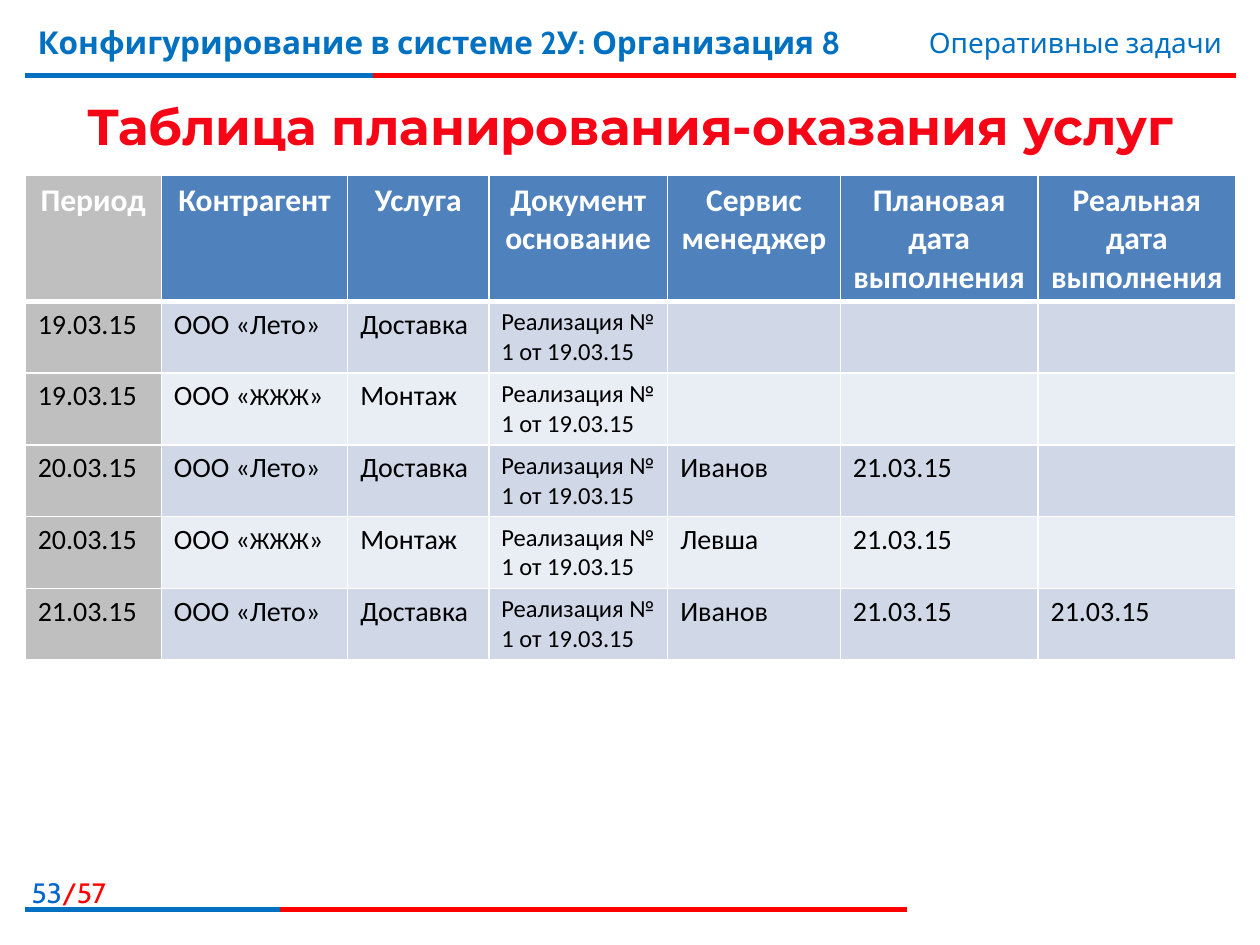
from dataclasses import dataclass

from lxml.etree import SubElement
from pptx import Presentation
from pptx.dml.color import RGBColor
from pptx.enum.shapes import MSO_CONNECTOR
from pptx.enum.text import MSO_ANCHOR, MSO_AUTO_SIZE, PP_ALIGN
from pptx.oxml.ns import qn
from pptx.util import Inches, Pt


@dataclass(frozen=True)
class Theme:
    blue: str = "0070C0"
    number_blue: str = "0066CC"
    red: str = "FF0000"
    title_red: str = "F50516"
    white: str = "FFFFFF"
    black: str = "000000"
    period_fill: str = "BFBFBF"
    header_fill: str = "4F81BD"
    bands: tuple = ("D0D8E8", "E9EDF4")
    frame_font: str = "Cabin"
    table_font: str = "Calibri"
    title_font: str = "Montserrat"
    title_size: float = 28.8
    large: int = 18
    medium: int = 16
    small: int = 14
    rule_width: int = 3
    border_width: int = 1


THEME = Theme()
LEFT, WIDTH = 0.2, 9.61
COLUMN_WIDTHS = (1.08, 1.48, 1.12, 1.42, 1.37, 1.57, 1.57)
HEADER_HEIGHT, ROW_HEIGHT = 0.98, 0.57
DOCUMENT_COLUMN = 3

HEADERS = (
    "Период", "Контрагент", "Услуга", "Документ основание",
    "Сервис менеджер", "Плановая дата выполнения", "Реальная дата выполнения",
)
DOCUMENT = "Реализация № 1 от 19.03.15"
SUMMER = ("ООО «Лето»", "Доставка", DOCUMENT)
LETTERS = (("ООО «", "ЖЖЖ", "»"), "Монтаж", DOCUMENT)
ROWS = (
    ("19.03.15", *SUMMER, "", "", ""),
    ("19.03.15", *LETTERS, "", "", ""),
    ("20.03.15", *SUMMER, "Иванов", "21.03.15", ""),
    ("20.03.15", *LETTERS, "Левша", "21.03.15", ""),
    ("21.03.15", *SUMMER, "Иванов", "21.03.15", "21.03.15"),
)


def add_run(paragraph, text, color, size, font_name, bold=False):
    run = paragraph.add_run()
    run.text = text
    values = {"name": font_name, "size": Pt(size), "bold": bold}
    for name, value in values.items():
        setattr(run.font, name, value)
    run.font.color.rgb = RGBColor.from_string(color)


def add_text(slide, box, parts, size, align=PP_ALIGN.LEFT, bold=False):
    """Add a one-line text box; parts are pairs of text and colour."""
    shape = slide.shapes.add_textbox(*map(Inches, box))
    shape.text_frame.word_wrap = True
    paragraph = shape.text_frame.paragraphs[0]
    paragraph.alignment = align
    for text, color in parts:
        add_run(paragraph, text, color, size, THEME.frame_font, bold)


def add_two_tone_rule(slide, top, blue_end, red_end):
    """Draw a red rule with a blue one over its left part."""
    for end, color in ((red_end, THEME.red), (blue_end, THEME.blue)):
        line = slide.shapes.add_connector(
            MSO_CONNECTOR.STRAIGHT,
            Inches(LEFT), Inches(top), Inches(end), Inches(top),
        )
        line.line.color.rgb = RGBColor.from_string(color)
        line.line.width = Pt(THEME.rule_width)
        SubElement(line._element.spPr, qn("a:effectLst"))


def set_borders(cell, top, bottom):
    properties = cell._tc.get_or_add_tcPr()
    side = THEME.border_width
    for tag, width in (("lnL", side), ("lnR", side), ("lnT", top), ("lnB", bottom)):
        line = SubElement(properties, qn(f"a:{tag}"), w=str(Pt(width)))
        fill = SubElement(line, qn("a:solidFill"))
        SubElement(fill, qn("a:srgbClr"), val=THEME.white)


def fill_cell(cell, row, column, content):
    is_header = row == 0
    if column == 0:
        color = THEME.period_fill
    else:
        color = THEME.header_fill if is_header else THEME.bands[(row - 1) % 2]
    set_borders(
        cell,
        THEME.rule_width if row == 1 else THEME.border_width,
        THEME.rule_width if is_header else THEME.border_width,
    )
    cell.fill.solid()
    cell.fill.fore_color.rgb = RGBColor.from_string(color)

    paragraph = cell.text_frame.paragraphs[0]
    if is_header:
        paragraph.alignment = PP_ALIGN.CENTER
        add_run(paragraph, content, THEME.white, THEME.large, THEME.table_font, True)
    elif content:
        parts = (content,) if isinstance(content, str) else content
        for index, text in enumerate(parts):
            is_small = column == DOCUMENT_COLUMN or index == 1
            size = THEME.small if is_small else THEME.medium
            add_run(paragraph, text, THEME.black, size, THEME.table_font)


def add_service_table(slide):
    height = HEADER_HEIGHT + ROW_HEIGHT * len(ROWS)
    table = slide.shapes.add_table(
        len(ROWS) + 1, len(HEADERS),
        Inches(LEFT), Inches(1.39), Inches(WIDTH), Inches(height),
    ).table
    for column, width in zip(table.columns, COLUMN_WIDTHS):
        column.width = Inches(width)
    for row, contents in enumerate((HEADERS, *ROWS)):
        table.rows[row].height = Inches(ROW_HEIGHT if row else HEADER_HEIGHT)
        for column, content in enumerate(contents):
            fill_cell(table.cell(row, column), row, column, content)


def set_title(slide, text):
    title = slide.shapes.title
    box = {"left": LEFT, "top": 0.6, "width": WIDTH, "height": 0.79}
    for name, value in box.items():
        setattr(title, name, Inches(value))
    frame = title.text_frame
    values = {
        "auto_size": MSO_AUTO_SIZE.NONE,
        "word_wrap": True,
        "vertical_anchor": MSO_ANCHOR.MIDDLE,
    }
    for name, value in values.items():
        setattr(frame, name, value)
    paragraph = frame.paragraphs[0]
    paragraph.alignment = PP_ALIGN.CENTER
    add_run(paragraph, text, THEME.title_red, THEME.title_size, THEME.title_font, True)


def main():
    presentation = Presentation()
    presentation.slide_width = Inches(10)
    presentation.slide_height = Inches(7.5)
    title_only = presentation.slide_layouts[5]
    slide = presentation.slides.add_slide(title_only)

    add_two_tone_rule(slide, 0.6, 2.96, 9.81)
    add_text(slide, (-0.1, 6.9, 1.04, 0.32),
             (("53", THEME.number_blue), ("/57", THEME.red)),
             THEME.medium, PP_ALIGN.RIGHT)
    add_two_tone_rule(slide, 7.22, 2.22, 7.2)
    add_text(slide, (LEFT, 0.13, 7.4, 0.62),
             (("Конфигурирование в системе 2У: Организация 8", THEME.blue),),
             THEME.large, bold=True)
    add_text(slide, (5.94, 0.15, 3.86, 0.37),
             (("Оперативные задачи", THEME.blue),),
             THEME.medium, PP_ALIGN.RIGHT)
    add_service_table(slide)
    set_title(slide, "Таблица планирования-оказания услуг")

    presentation.save("out.pptx")


if __name__ == "__main__":
    main()
